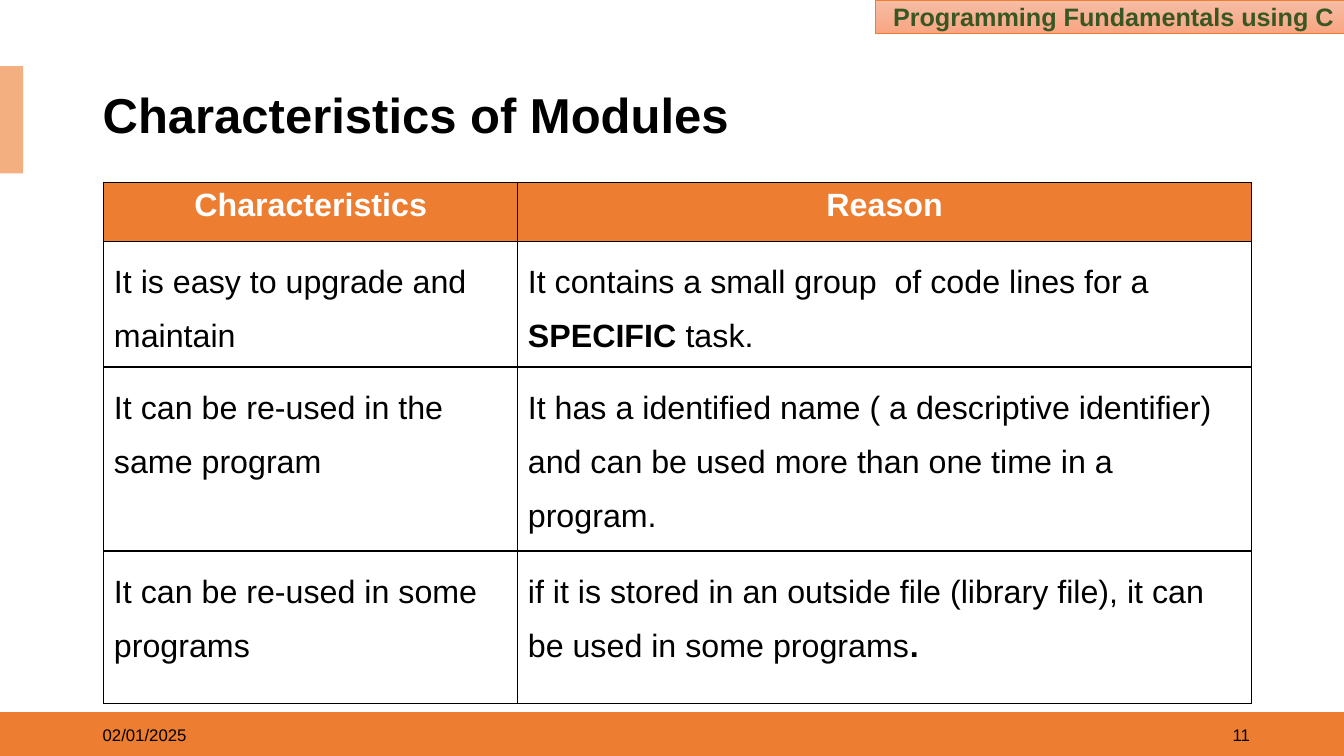
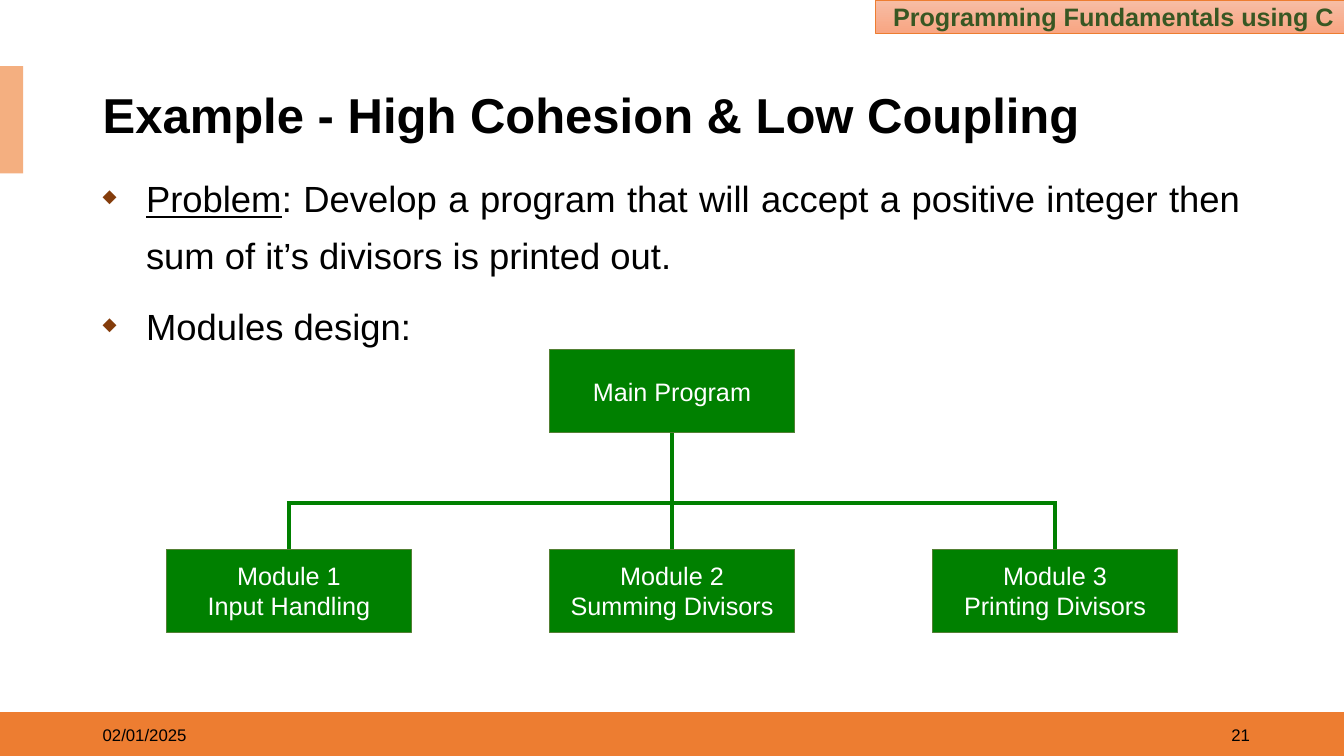
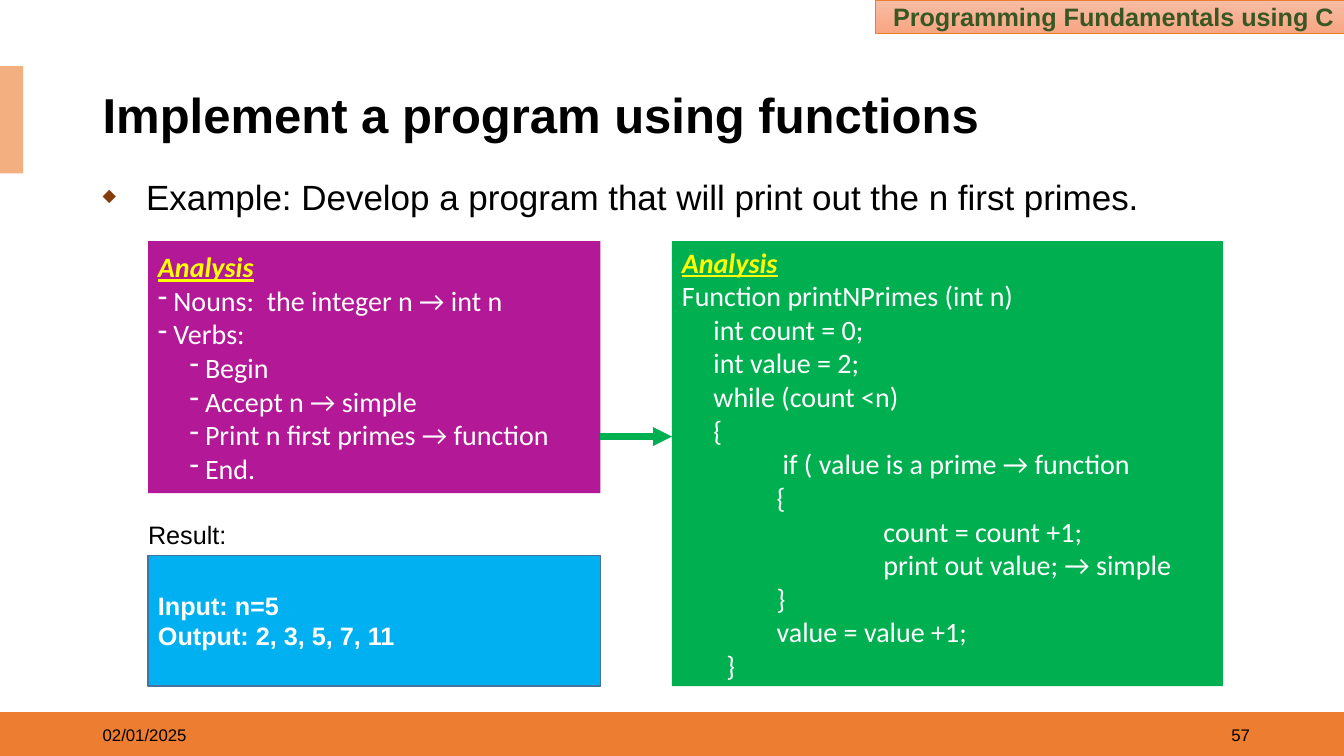
from dataclasses import dataclass

from pptx import Presentation
from pptx.dml.color import RGBColor
from pptx.enum.shapes import MSO_CONNECTOR as Connector, MSO_SHAPE as Shape
from pptx.enum.text import MSO_ANCHOR as Anchor, PP_ALIGN as Align
from pptx.oxml import parse_xml
from pptx.oxml.ns import nsdecls
from pptx.util import Emu, Pt


@dataclass(frozen=True)
class Theme:
    orange: str = "ED7D31"
    peach: str = "F4AF80"
    banner_top: str = "F7BDA5"
    banner_bottom: str = "F8A582"
    banner_text: str = "385723"
    brown: str = "843C0B"
    module: str = "008000"
    module_edge: str = "538035"
    purple: str = "B31996"
    green: str = "00B050"
    blue: str = "00B0F0"
    blue_edge: str = "43739E"
    yellow: str = "FFFF00"
    white: str = "FFFFFF"
    black: str = "000000"
    font: str = "Arial"
    code_font: str = "Calibri"
    title_size: int = 35
    problem_size: int = 26
    example_size: int = 25
    table_size: int = 23
    code_size: int = 20
    text_size: int = 18
    footer_size: int = 12


@dataclass(frozen=True)
class Line:
    """A paragraph: runs are strings or (string, font values); indents are in columns."""
    runs: tuple
    margin: float = 0
    hang: float = 0
    bullet: str = ""


theme = Theme()
plain = dict(name=theme.font, size=theme.text_size, color=theme.black)
light = {**plain, "color": theme.white}
code = {**light, "name": theme.code_font, "size": theme.code_size}
heading = Line((("Analysis", dict(color=theme.yellow, bold=True, italic=True, underline=True)),))

presentation = Presentation()
presentation.slide_width = Emu(12192000)
presentation.slide_height = Emu(6858000)
# The grid has 100 columns and 100 rows, so every length is a percentage
COLUMN = presentation.slide_width // 100
ROW = presentation.slide_height // 100
MARGIN, CONTENT = 6.9, 86.25


def write_text(frame, lines, font_format, paragraph_format):
    frame.word_wrap = True
    for number, line in enumerate(lines):
        line = Line((line,)) if isinstance(line, str) else line
        paragraph = frame.add_paragraph() if number else frame.paragraphs[0]
        for name, value in paragraph_format.items():
            setattr(paragraph, name, value)
        for item in line.runs:
            text, changes = (item, {}) if isinstance(item, str) else item
            run = paragraph.add_run()
            run.text = text
            values = {**font_format, **changes}
            run.font.color.rgb = RGBColor.from_string(values.pop("color"))
            values["size"] = Pt(values["size"])
            for name, value in values.items():
                setattr(run.font, name, value)
        properties = paragraph._p.get_or_add_pPr()
        properties.set("marL", str(round(line.margin * COLUMN)))
        properties.set("indent", str(round(-line.hang * COLUMN)))
        if line.bullet == "◆":
            properties.append(parse_xml(
                f'<a:buClr {nsdecls("a")}><a:srgbClr val="{theme.brown}"/></a:buClr>'))
            properties.append(parse_xml(f'<a:buSzPct {nsdecls("a")} val="50000"/>'))
        if line.bullet:
            properties.append(parse_xml(f'<a:buChar {nsdecls("a")} char="{line.bullet}"/>'))


def add_box(slide, area, lines=(), font_format=plain, fill=None, edge=None,
            anchor=Anchor.MIDDLE, **paragraph_format):
    left, top, width, height = area
    position = [round(value) for value in
                (left * COLUMN, top * ROW, width * COLUMN, height * ROW)]
    if fill:
        shape = slide.shapes.add_shape(Shape.RECTANGLE, *position)
        shape.shadow.inherit = False
        shape.fill.solid()
        shape.fill.fore_color.rgb = RGBColor.from_string(fill)
        if edge:
            shape.line.color.rgb = RGBColor.from_string(edge)
            shape.line.width = Pt(1)
        else:
            shape.line.fill.background()
    else:
        shape = slide.shapes.add_textbox(*position)
    shape.text_frame.vertical_anchor = anchor
    write_text(shape.text_frame, lines, font_format, {"alignment": Align.LEFT, **paragraph_format})
    return shape


# Parts that every slide shares
slides = []
for title, page in (("Characteristics of Modules", "11"),
                    ("Example - High Cohesion & Low Coupling", "21"),
                    ("Implement a program using functions", "57")):
    slide = presentation.slides.add_slide(presentation.slide_layouts[6])
    slides.append(slide)
    add_box(slide, (0, 94.2, 100, 5.8), fill=theme.orange)
    add_box(slide, (0, 8.75, 1.72, 14.2), fill=theme.peach)
    banner = add_box(slide, (65.15, 0, 34.85, 4.45), ["Programming Fundamentals using C"],
                     {**plain, "color": theme.banner_text, "bold": True},
                     theme.banner_top, theme.orange, alignment=Align.RIGHT)
    banner.line.width = Pt(0.5)
    banner.fill.gradient()
    banner.fill.gradient_angle = 270
    for stop, colour in zip(banner.fill.gradient_stops, (theme.banner_top, theme.banner_bottom)):
        stop.color.rgb = RGBColor.from_string(colour)
    banner.text_frame.paragraphs[0].runs[0]._r.get_or_add_rPr().insert(0, parse_xml(
        f'<a:ln {nsdecls("a")} w="9525"><a:solidFill><a:srgbClr val="{theme.white}"/>'
        '</a:solidFill></a:ln>'))
    add_box(slide, (MARGIN, 11.3, CONTENT, 8.4), [title],
            {**plain, "size": theme.title_size, "bold": True}, theme.white, line_spacing=0.9)
    for left, text, alignment in ((71.25, page, Align.RIGHT), (MARGIN, "02/01/2025", Align.LEFT)):
        add_box(slide, (left, 94.55, 22.5, 5.3), [text],
                {**plain, "size": theme.footer_size}, alignment=alignment)
characteristics, design, implementation = slides

# Table of characteristics
rows = (
    ("Characteristics", "Reason"),
    ("It is easy to upgrade and maintain",
     Line(("It contains a small group  of code lines for a ", ("SPECIFIC", dict(bold=True)),
           " task."))),
    ("It can be re-used in the same program",
     "It has a identified name ( a descriptive identifier) and can be used "
     "more than one time in a program."),
    ("It can be re-used in some programs",
     Line(("if it is stored in an outside file (library file), it can be used in some programs",
           (".", dict(bold=True))))),
)
widths, heights = (30.8, 54.6), (7.75, 13.9, 13.9, 20.15)
table = characteristics.shapes.add_table(
    len(rows), len(widths), round(7.73 * COLUMN), round(24.15 * ROW),
    round(sum(widths) * COLUMN), round(sum(heights) * ROW)).table
table.horz_banding = False
for column, width in zip(table.columns, widths):
    column.width = round(width * COLUMN)
for number, (row, height, texts) in enumerate(zip(table.rows, heights, rows)):
    row.height = round(height * ROW)
    header = number == 0
    colour = theme.white if header else theme.black
    layout = dict(alignment=Align.CENTER) if header else dict(line_spacing=1.5)
    for cell, text in zip(row.cells, texts):
        cell.fill.solid()
        cell.fill.fore_color.rgb = RGBColor.from_string(theme.orange if header else theme.white)
        write_text(cell.text_frame, [text],
                   {**plain, "size": theme.table_size, "color": colour, "bold": header}, layout)
        for place, side in enumerate("LRTB"):
            cell._tc.get_or_add_tcPr().insert(place, parse_xml(
                f'<a:ln{side} {nsdecls("a")} w="12700"><a:solidFill>'
                f'<a:srgbClr val="{theme.black}"/></a:solidFill></a:ln{side}>'))

# Bullets on the two example slides
bullet = dict(margin=3.23, hang=3.23, bullet="◆")
for slide, size, lines in (
        (design, theme.problem_size,
         [Line((("Problem", dict(underline=True)), ": Develop a program that will accept a "
                "positive integer then sum of it’s divisors is printed out."), **bullet),
          Line(("Modules design:",), **bullet)]),
        (implementation, theme.example_size,
         [Line(("Example: Develop a program that will print out the n first primes.",),
               **bullet)])):
    add_box(slide, (MARGIN, 20.95, CONTENT, 72.9), lines, {**plain, "size": size},
            anchor=Anchor.TOP, alignment=Align.JUSTIFY, line_spacing=1.3, space_before=Pt(10))

# Module tree: the main program above three modules
BOX_WIDTH, BOX_HEIGHT, STEP = 18.24, 11, 28.5
MAIN_TOP, BUS, MODULE_TOP = 46.25, 66.5, 72.65
box_format = dict(font_format=light, fill=theme.module, edge=theme.module_edge,
                  alignment=Align.CENTER)
main_box = add_box(design, (50 - BOX_WIDTH / 2, MAIN_TOP, BOX_WIDTH, BOX_HEIGHT),
                   ["Main Program"], **box_format)
connectors = [design.shapes.add_connector(
    Connector.STRAIGHT, round((50 - STEP) * COLUMN - Pt(1.5)), round(BUS * ROW),
    round((50 + STEP) * COLUMN + Pt(1.5)), round(BUS * ROW))]
for number, task in enumerate(("Input Handling", "Summing Divisors", "Printing Divisors"), 1):
    centre = 50 + (number - 2) * STEP
    module = add_box(design, (centre - BOX_WIDTH / 2, MODULE_TOP, BOX_WIDTH, BOX_HEIGHT),
                     [f"Module {number}", task], **box_format)
    stem = design.shapes.add_connector(
        Connector.STRAIGHT, round(centre * COLUMN), round(BUS * ROW),
        round(centre * COLUMN), round(MODULE_TOP * ROW))
    if centre == 50:
        stem.begin_connect(main_box, 2)
    stem.end_connect(module, 0)
    connectors.append(stem)

# Analysis, function and result
LEFT, PANEL_WIDTH, RIGHT, PANEL_TOP = 11.02, 33.65, 50, 31.9
analysis = [heading]
for text, margin in (("Nouns:  the integer n → int n", 1.15), ("Verbs:", 1.15),
                     ("Begin", 3.5), ("Accept n → simple", 3.5),
                     ("Print n first primes → function", 3.5), ("End.", 3.5)):
    analysis.append(Line((text,), margin, 1.15, "-"))
function = [heading]
for text, margin in (("Function printNPrimes (int n)", 0), ("int count = 0;", 2.35),
                     ("int value = 2;", 2.35), ("while (count <n)", 2.35), ("{", 2.35),
                     ("if ( value is a prime → function", 7.5), ("{", 7.05),
                     ("count = count +1;", 15), ("print out value; → simple", 15),
                     ("}", 7.05), ("value = value +1;", 7.05), ("}", 3.3)):
    function.append(Line((text,), margin))
add_box(implementation, (LEFT, PANEL_TOP, PANEL_WIDTH, 33.35), analysis, code, theme.purple)
add_box(implementation, (RIGHT, PANEL_TOP, 41, 58.85), function, code, theme.green)
add_box(implementation, (LEFT, 73.45, PANEL_WIDTH, 17.3), ["Input: n=5", "Output: 2, 3, 5, 7, 11"],
        {**light, "bold": True}, theme.blue, theme.blue_edge)
add_box(implementation, (10.28, 68, 19.1, 5.35), ["Result:"], anchor=Anchor.TOP)
arrow = implementation.shapes.add_connector(
    Connector.STRAIGHT, round((LEFT + PANEL_WIDTH) * COLUMN), round(57.75 * ROW),
    RIGHT * COLUMN, round(57.75 * ROW))

# Line colours, widths and the arrowhead
for connector in (*connectors, arrow):
    colour, width = (theme.green, 4.5) if connector is arrow else (theme.module, 3)
    connector.line.color.rgb = RGBColor.from_string(colour)
    connector.line.width = Pt(width)
    connector._element.spPr.append(parse_xml(f'<a:effectLst {nsdecls("a")}/>'))
arrow.line._get_or_add_ln().append(parse_xml(f'<a:tailEnd {nsdecls("a")} type="triangle"/>'))

presentation.save("out.pptx")
